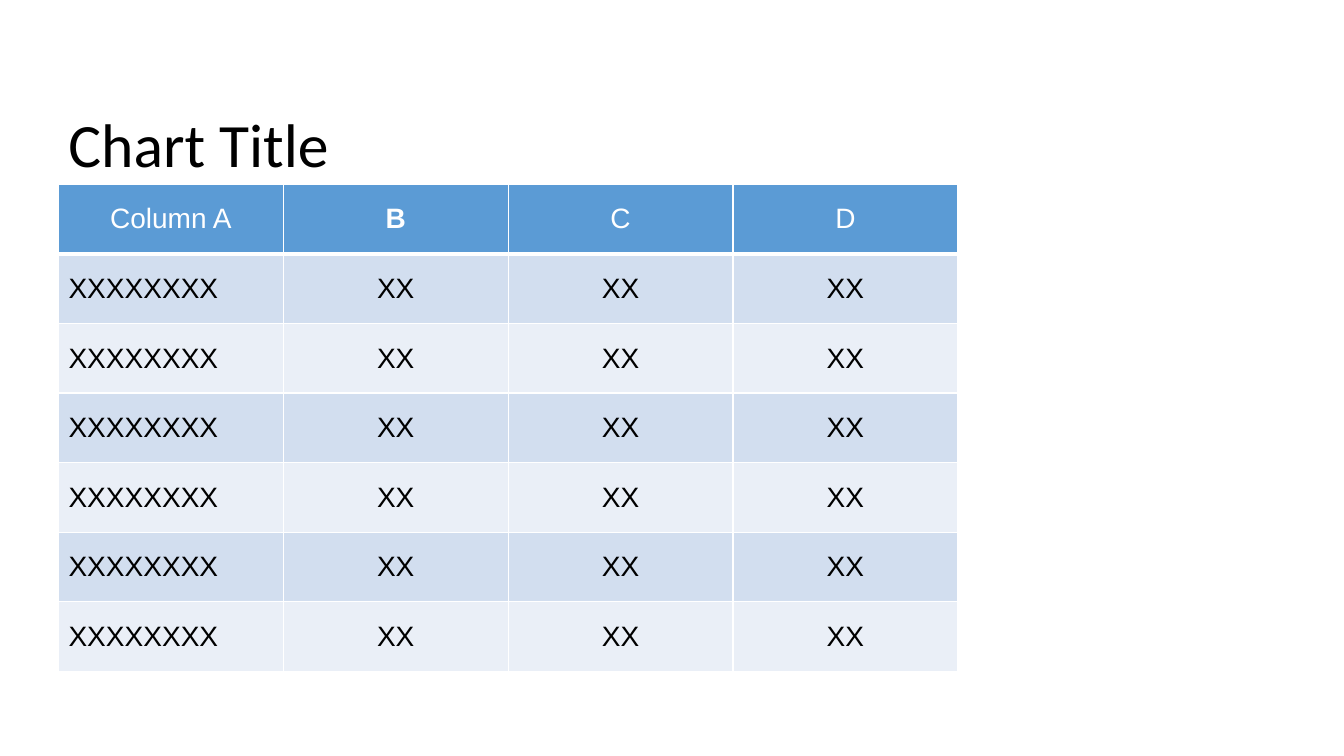
from lxml import etree
from pptx import Presentation
from pptx.dml.color import RGBColor
from pptx.enum.text import MSO_ANCHOR, PP_ALIGN
from pptx.oxml.ns import qn
from pptx.util import Inches, Pt

LEFT, CENTER = PP_ALIGN.LEFT, PP_ALIGN.CENTER
TOP, MIDDLE = MSO_ANCHOR.TOP, MSO_ANCHOR.MIDDLE
WHITE, BLACK, BLUE = "FFFFFF", "000000", "5B9BD5"
BANDS = ["D2DEEF", "EAEFF7"]
ROWS = [["Column A", "B", "C", "D"]] + [["XXXXXXXX"] + ["XX"] * 3] * 6


def color(code):
    return RGBColor.from_string(code)


def write(frame, text, font="Arial", size=20, ink=BLACK, bold=False,
          align=LEFT, space=1.0):
    para = frame.paragraphs[0]
    para.alignment = align
    para.line_spacing = space
    run = para.add_run()
    run.text = text
    run.font.name = font
    run.font.size = Pt(size)
    run.font.bold = bold
    run.font.color.rgb = color(ink)


def border(cell, low):
    """Draw white rules on all sides; low is the width of the bottom one."""
    props = cell._tc.get_or_add_tcPr()
    sides = {"a:lnL": 1, "a:lnR": 1, "a:lnT": 1, "a:lnB": low}
    for spot, (side, width) in enumerate(sides.items()):
        line = etree.Element(qn(side), w=str(Pt(width)))
        fill = etree.SubElement(line, qn("a:solidFill"))
        etree.SubElement(fill, qn("a:srgbClr"), val=WHITE)
        props.insert(spot, line)


def title(slide, x, y, w, h):
    frame = slide.shapes.add_textbox(x, y, w, h).text_frame
    frame.word_wrap = True
    frame.vertical_anchor = TOP
    write(frame, "Chart Title", font="Calibri", size=44, space=0.9)


def grid(slide, x, y, w, h):
    table = slide.shapes.add_table(len(ROWS), len(ROWS[0]), x, y, w, h).table
    for r, row in enumerate(ROWS):
        head = r == 0
        for c, text in enumerate(row):
            cell = table.cell(r, c)
            cell.vertical_anchor = MIDDLE
            cell.fill.solid()
            cell.fill.fore_color.rgb = color(BLUE if head else BANDS[(r - 1) % 2])
            border(cell, 3 if head else 1)
            write(cell.text_frame, text, ink=WHITE if head else BLACK,
                  bold=text == "B", align=CENTER if head or c else LEFT)


def main():
    deck = Presentation()
    deck.slide_width, deck.slide_height = Inches(13.33), Inches(7.5)
    slide = deck.slides.add_slide(deck.slide_layouts[6])
    # Title and table share one column
    x, w = Inches(0.58), Inches(8.92)
    title(slide, x, Inches(1.08), w, Inches(0.58))
    grid(slide, x, Inches(1.83), w, Inches(4.83))
    deck.save("out.pptx")


if __name__ == "__main__":
    main()
